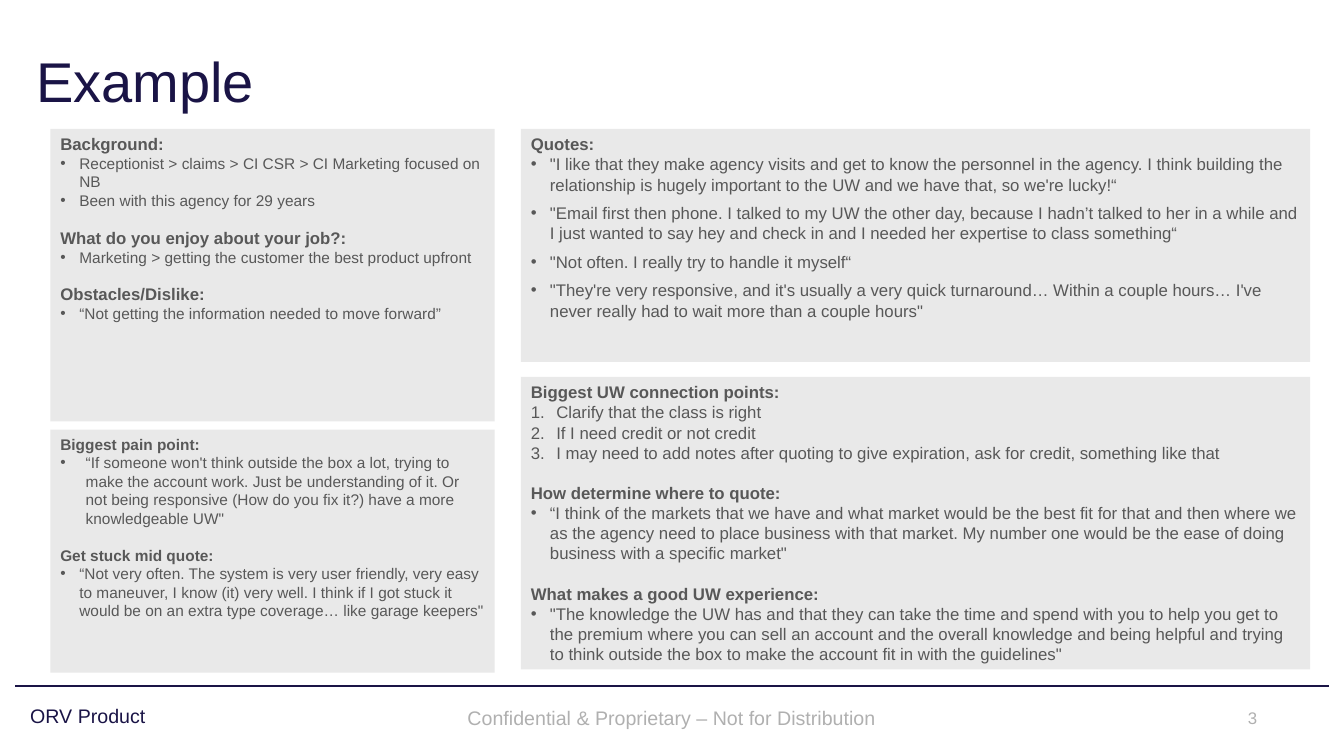
"""Build the agency interview example slide with four panels of findings."""
import pptx
import pptx.util
import pptx.dml.color
import pptx.enum.shapes
import pptx.enum.text
import pptx.oxml.ns
from lxml import etree

Cm = pptx.util.Cm
Pt = pptx.util.Pt
ALIGN = pptx.enum.text.PP_ALIGN
ANCHOR = pptx.enum.text.MSO_ANCHOR

COLORS = {"navy": "1A1446", "panel": "E9E9E9", "body": "585858", "muted": "B0B0B0"}
FONT = "Arial"
NARROW, WIDE = 0.48, 0.64

BACKGROUND = [
    ("Background:", dict(size=12, bold=True)),
    ("Receptionist > claims > CI CSR > CI Marketing focused on NB", dict(size=11, marker="•")),
    ("Been with this agency for 29 years", dict(size=11, marker="•")),
    ("What do you enjoy about your job?:", dict(size=12, bold=True, before=13)),
    ("Marketing > getting the customer the best product upfront", dict(size=11, marker="•")),
    ("Obstacles/Dislike:", dict(size=12, bold=True, before=12.5)),
    ("“Not getting the information needed to move forward”", dict(size=11, marker="•")),
]
QUOTES = [("Quotes:", dict(size=12, bold=True))] + [
    (quote, dict(size=12, marker="•", after=6)) for quote in (
        "\"I like that they make agency visits and get to know the personnel in the agency. "
        "I think building the relationship is hugely important to the UW and we have that, "
        "so we're lucky!“",
        "\"Email first then phone. I talked to my UW the other day, because I hadn’t talked to "
        "her in a while and I just wanted to say hey and check in and I needed her expertise "
        "to class something“",
        "\"Not often. I really try to handle it myself“",
        "\"They're very responsive, and it's usually a very quick turnaround… Within a couple "
        "hours… I've never really had to wait more than a couple hours\"",
    )
]
CONNECTION = [
    ("Biggest UW connection points:", dict(size=12, bold=True)),
    ("Clarify that the class is right", dict(size=12, marker="1.", indent=WIDE)),
    ("If I need credit or not credit", dict(size=12, marker="1.", indent=WIDE)),
    ("I may need to add notes after quoting to give expiration, ask for credit, "
     "something like that", dict(size=12, marker="1.", indent=WIDE)),
    ("How determine where to quote:", dict(size=12, bold=True, before=14.4)),
    ("“I think of the markets that we have and what market would be the best fit for that "
     "and then where we as the agency need to place business with that market. My number one "
     "would be the ease of doing business with a specific market\"", dict(size=12, marker="•")),
    ("What makes a good UW experience:", dict(size=12, bold=True, before=14.4)),
    ("\"The knowledge the UW has and that they can take the time and spend with you to help "
     "you get to the premium where you can sell an account and the overall knowledge and being "
     "helpful and trying to think outside the box to make the account fit in with the "
     "guidelines\"", dict(size=12, marker="•")),
]
PAIN_POINT = [
    ("Biggest pain point:", dict(size=11, bold=True)),
    ("“If someone won't think outside the box a lot, trying to make the account work. Just be "
     "understanding of it. Or not being responsive (How do you fix it?) have a more "
     "knowledgeable UW\"", dict(size=11, marker="•", indent=WIDE)),
    ("Get stuck mid quote:", dict(size=11, bold=True, before=13.2)),
    ("“Not very often. The system is very user friendly, very easy to maneuver, I know (it) "
     "very well. I think if I got stuck it would be on an extra type coverage… like garage "
     "keepers\"", dict(size=11, marker="•")),
]


def rgb(name):
    return pptx.dml.color.RGBColor.from_string(COLORS[name])


def add_marker(paragraph, marker, indent):
    properties = paragraph._p.get_or_add_pPr()
    properties.set("marL", str(Cm(indent)))
    properties.set("indent", str(-Cm(indent)))
    if marker == "•":
        tag, attributes = "a:buChar", {"char": marker}
    else:
        tag, attributes = "a:buAutoNum", {"type": "arabicPeriod"}
    font = etree.SubElement(properties, pptx.oxml.ns.qn("a:buFont"))
    font.set("typeface", FONT)
    etree.SubElement(properties, pptx.oxml.ns.qn(tag), attributes)


def write_text(paragraph, text, size=12, color="body", bold=False, align=ALIGN.LEFT,
               before=0, after=0, spacing=1.0, marker=None, indent=NARROW):
    paragraph.alignment = align
    paragraph.space_before, paragraph.space_after = Pt(before), Pt(after)
    paragraph.line_spacing = spacing
    run = paragraph.add_run()
    run.text = text
    run.font.name, run.font.size, run.font.bold = FONT, Pt(size), bold
    run.font.color.rgb = rgb(color)
    if marker:
        add_marker(paragraph, marker, indent)


def set_frame(shape, anchor):
    shape.text_frame.word_wrap = True
    shape.text_frame.vertical_anchor = anchor
    return shape.text_frame


def add_title(slide, text):
    title = slide.shapes.title
    title.left, title.top, title.width, title.height = Cm(0.66), Cm(0.46), Cm(32.59), Cm(3.35)
    frame = set_frame(title, ANCHOR.MIDDLE)
    write_text(frame.paragraphs[0], text, size=40, color="navy", spacing=0.9)


def add_panel(slide, box, lines):
    panel = slide.shapes.add_shape(pptx.enum.shapes.MSO_SHAPE.RECTANGLE, *map(Cm, box))
    panel.shadow.inherit = False
    panel.fill.solid()
    panel.fill.fore_color.rgb = rgb("panel")
    panel.line.fill.background()
    frame = set_frame(panel, ANCHOR.TOP)
    for number, (text, style) in enumerate(lines):
        paragraph = frame.add_paragraph() if number else frame.paragraphs[0]
        write_text(paragraph, text, **style)


def add_label(slide, box, text, anchor=ANCHOR.MIDDLE, **style):
    label = slide.shapes.add_textbox(*map(Cm, box))
    write_text(set_frame(label, anchor).paragraphs[0], text, **style)


def add_rule(slide, left, right, top):
    rule = slide.shapes.add_connector(
        pptx.enum.shapes.MSO_CONNECTOR.STRAIGHT, Cm(left), Cm(top), Cm(right), Cm(top))
    rule.line.color.rgb = rgb("navy")
    rule.line.width = Pt(1)
    etree.SubElement(rule._element.spPr, pptx.oxml.ns.qn("a:effectLst"))


def main():
    deck = pptx.Presentation()
    deck.slide_width, deck.slide_height = Cm(33.87), Cm(19.05)
    slide = deck.slides.add_slide(deck.slide_layouts[5])

    add_title(slide, "Example")
    add_panel(slide, (1.27, 3.25, 11.2, 7.37), BACKGROUND)
    add_panel(slide, (13.13, 3.25, 19.89, 5.87), QUOTES)
    add_panel(slide, (13.13, 9.5, 19.89, 7.37), CONNECTION)
    add_panel(slide, (1.27, 10.83, 11.2, 6.12), PAIN_POINT)

    add_rule(slide, 0.38, 33.5, 17.29)
    add_label(slide, (0.51, 17.53, 11.1, 1.07), "ORV Product",
              size=14, color="navy", spacing=0.9)
    add_label(slide, (8.69, 17.58, 16.48, 1.02),
              "Confidential & Proprietary – Not for Distribution",
              size=14, color="muted", align=ALIGN.CENTER)
    add_label(slide, (30.18, 17.7, 1.75, 0.76), "3", anchor=ANCHOR.TOP,
              size=12, color="muted", align=ALIGN.RIGHT)

    deck.save("out.pptx")


if __name__ == "__main__":
    main()
